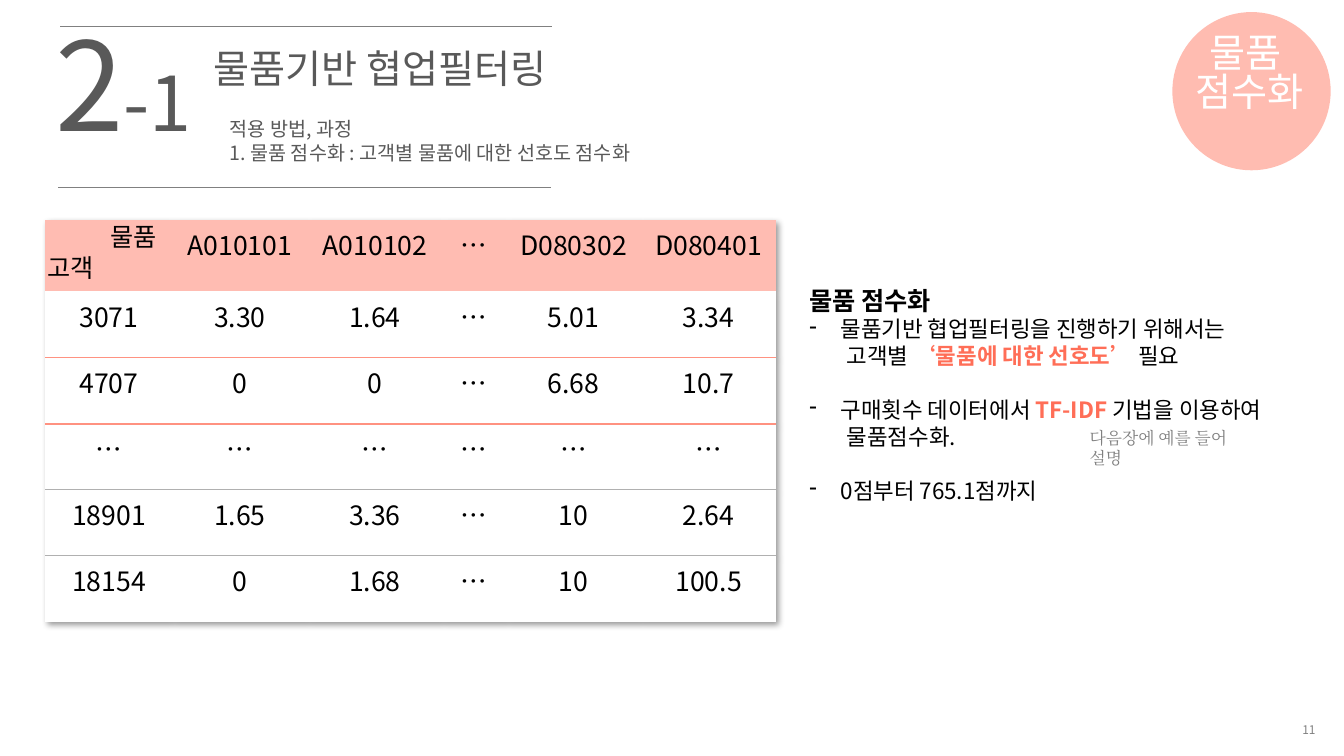
import pptx
import pptx.util
import pptx.dml.color
import pptx.enum.text
import pptx.enum.shapes
import pptx.oxml
import pptx.oxml.ns
import lxml.etree

RGBColor = pptx.dml.color.RGBColor
CORAL = RGBColor(0xFF, 0x6E, 0x57)
SALMON = RGBColor(0xFF, 0x92, 0x81)
BLUSH = RGBColor(0xFF, 0xBC, 0xB2)
CHARCOAL = RGBColor(0x59, 0x59, 0x59)
GRAY = RGBColor(0x80, 0x80, 0x80)
SILVER = RGBColor(0xB0, 0xB0, 0xB0)
BLACK = RGBColor(0, 0, 0)
WHITE = RGBColor(0xFF, 0xFF, 0xFF)
SANS = "Noto Sans CJK KR"
SERIF = "Cambria"
Pt = pptx.util.Pt
qn = pptx.oxml.ns.qn
ALIGN = pptx.enum.text.PP_ALIGN
ANCHOR = pptx.enum.text.MSO_ANCHOR

deck = pptx.Presentation()
deck.slide_width = pptx.util.Inches(13.33)
deck.slide_height = pptx.util.Inches(7.5)
COLUMN = deck.slide_width / 100
ROW = deck.slide_height / 100
page = deck.slides.add_slide(deck.slide_layouts[5])


def place(left, top, width, height):
    return [int(left * COLUMN), int(top * ROW), int(width * COLUMN), int(height * ROW)]


def write(para, text, size, color, bold=False, font=SANS):
    span = para.add_run()
    span.text = text
    for name, value in {"name": font, "size": Pt(size), "bold": bold}.items():
        setattr(span.font, name, value)
    span.font.color.rgb = color
    east = lxml.etree.SubElement(span.font._element, qn("a:ea"))
    east.set("typeface", font)


for left, right, top in [(4.5, 41.1, 3.47), (4.35, 41.03, 24.8)]:
    x, y, length, _ = place(left, top, right - left, 0)
    rule = page.shapes.add_connector(pptx.enum.shapes.MSO_CONNECTOR.STRAIGHT, x, y, x + length, y)
    rule.line.color.rgb = GRAY
    rule.line.width = Pt(0.75)
    lxml.etree.SubElement(rule._element.spPr, qn("a:effectLst"))

scores = [
    ["", "A010101", "A010102", "…", "D080302", "D080401"],
    ["3071", "3.30", "1.64", "…", "5.01", "3.34"],
    ["4707", "0", "0", "…", "6.68", "10.7"],
    ["…"] * 6,
    ["18901", "1.65", "3.36", "…", "10", "2.64"],
    ["18154", "0", "1.68", "…", "10", "100.5"],
]
widths = [9.45, 10.05, 10.05, 4.73, 10.05, 10.05]
heights = [9.47] + [8.75] * 5
separators = [None, (SALMON, 1), (SALMON, 1.5), (SILVER, 0.75), (SILVER, 0.75), None]
frame = page.shapes.add_table(6, 6, *place(3.38, 29.07, sum(widths), sum(heights)))
table = frame.table
table.first_row = table.horz_banding = False
table._tbl.tblPr.insert(0, pptx.oxml.parse_xml(
    f'<a:effectLst {pptx.oxml.ns.nsdecls("a")}><a:outerShdw blurRad="50800" dist="38100" '
    'dir="2700000" algn="tl" rotWithShape="0"><a:prstClr val="black"><a:alpha val="40000"/>'
    '</a:prstClr></a:outerShdw></a:effectLst>'))
for column, width in zip(table.columns, widths):
    column.width = int(width * COLUMN)
for index, (row, height) in enumerate(zip(table.rows, heights)):
    row.height = int(height * ROW)
    edges = {"lnL": None, "lnR": None,
             "lnT": separators[index - 1] if index else None, "lnB": separators[index]}
    for cell, score in zip(row.cells, scores[index]):
        properties = cell._tc.get_or_add_tcPr()
        for name, edge in edges.items():
            border = lxml.etree.SubElement(properties, qn(f"a:{name}"))
            if edge:
                border.set("w", str(Pt(edge[1])))
                paint = lxml.etree.SubElement(border, qn("a:solidFill"))
                lxml.etree.SubElement(paint, qn("a:srgbClr")).set("val", str(edge[0]))
            else:
                lxml.etree.SubElement(border, qn("a:noFill"))
        cell.fill.solid()
        cell.fill.fore_color.rgb = WHITE if index else BLUSH
        if score:
            para = cell.text_frame.paragraphs[0]
            para.alignment = ALIGN.CENTER
            write(para, score, 19, BLACK)

badge = page.shapes.add_shape(pptx.enum.shapes.MSO_SHAPE.OVAL, *place(87.23, 1.6, 11.78, 20.93))
badge.shadow.inherit = False
badge.fill.solid()
badge.fill.fore_color.rgb = CORAL
badge.line.fill.background()
tint = badge._element.spPr.find(qn("a:solidFill"))[0]
lxml.etree.SubElement(tint, qn("a:alpha")).set("val", "46000")

texts = [
    ((15.15, 5.87, 33.68, 7.6), ["물품기반 협업필터링"], 28, CHARCOAL, SANS,
     {"line_spacing": 0.9, "alignment": ALIGN.LEFT}),
    ((3.38, 2.67, 18.3, 21.07), ["2"], 88, CHARCOAL, SANS, {"line_spacing": 0.9}),
    ((16.35, 14.8, 36, 7.73), ["적용 방법, 과정", "1. 물품 점수화 : 고객별 물품에 대한 선호도 점수화"],
     14, CHARCOAL, SANS, {"line_spacing": Pt(17)}),
    ((7.5, 29.07, 5.33, 5.33), ["물품"], 18, BLACK, SANS, {"line_spacing": 0.9}),
    ((2.78, 33.2, 5.33, 5.33), ["고객"], 18, BLACK, SANS, {"line_spacing": 0.9}),
    ((80.33, 55.87, 13.8, 4), ["다음장에 예를 들어 설명"], 12, GRAY, SERIF, {}),
    ((87.08, 4.1, 11.78, 13.87), ["물품 ", "점수화"], 28, WHITE, SANS,
     {"line_spacing": 0.83, "alignment": ALIGN.CENTER}),
    ((77.55, 94.67, 21.08, 3.6), ["11"], 8.5, GRAY, SANS, {"alignment": ALIGN.RIGHT}),
]
for number, (area, lines, size, color, font, layout) in enumerate(texts):
    box = page.shapes.add_textbox(*place(*area)) if number else page.shapes.title
    box.left, box.top, box.width, box.height = place(*area)
    holder = box.text_frame
    holder.word_wrap = True
    holder.auto_size = pptx.enum.text.MSO_AUTO_SIZE.NONE
    holder.vertical_anchor = ANCHOR.MIDDLE if lines == ["11"] else ANCHOR.TOP
    for index, line in enumerate(lines):
        para = holder.add_paragraph() if index else holder.paragraphs[0]
        for name, value in layout.items():
            setattr(para, name, value)
        write(para, line, size, color, font=font)
    if lines == ["2"]:
        write(para, "-1", 54, color)

explanation = [
    ("heading", 0, [("물품 점수화", BLACK)]),
    ("bullet", 0, [("물품기반 협업필터링을 진행하기 위해서는", BLACK)]),
    ("continued", 0, [("고객별 ", BLACK), ("‘물품에 대한 선호도’ ", CORAL), ("필요", BLACK)]),
    ("bullet", 19.2, [("구매횟수 데이터에서 ", BLACK), ("TF-IDF", CORAL), (" 기법을 이용하여", BLACK)]),
    ("continued", 0, [("물품점수화.", BLACK)]),
    ("bullet", 19.2, [("0점부터 765.1점까지", BLACK)]),
]
indents = {"heading": (0, 0), "bullet": (2.33, -2.33), "continued": (2.8, 0)}
box = page.shapes.add_textbox(*place(59.48, 32.93, 39.6, 34.53))
holder = box.text_frame
holder.word_wrap = True
for index, (role, gap, pieces) in enumerate(explanation):
    para = holder.add_paragraph() if index else holder.paragraphs[0]
    heading = role == "heading"
    para.line_spacing = Pt(44 if heading else 19.2)
    para.space_before = Pt(gap)
    properties = para._p.get_or_add_pPr()
    for name, share in zip(("marL", "indent"), indents[role]):
        properties.set(name, str(int(share * COLUMN)))
    if role == "bullet":
        lxml.etree.SubElement(properties, qn("a:buChar")).set("char", "-")
    for text, color in pieces:
        write(para, text, 18 if heading else 16, color, heading or color == CORAL)

deck.save("out.pptx")
